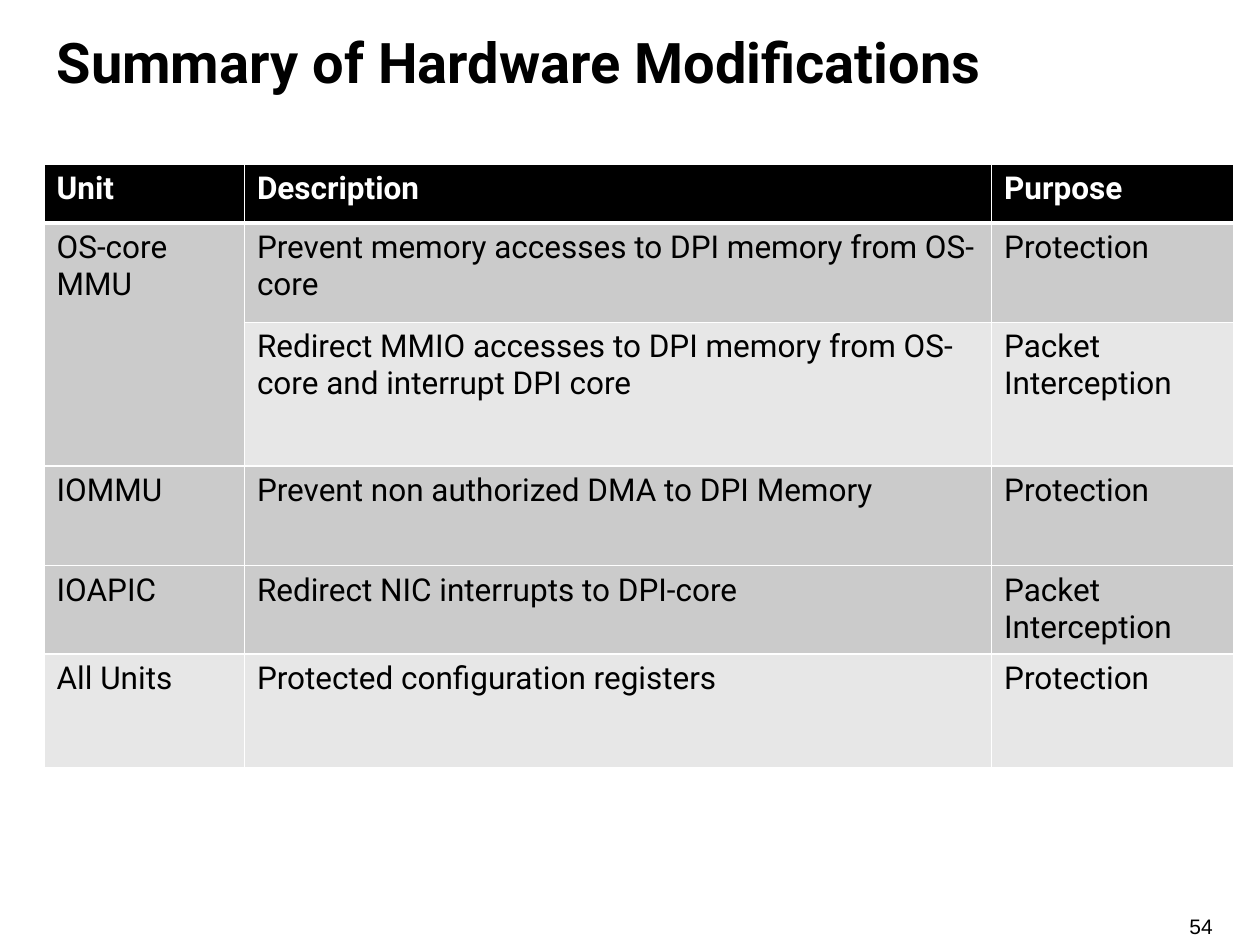
from lxml import etree
from pptx import Presentation
from pptx.dml.color import RGBColor
from pptx.enum.text import MSO_ANCHOR, PP_ALIGN
from pptx.oxml.ns import qn
from pptx.util import Inches, Pt

LEFT = PP_ALIGN.LEFT
MIDDLE = MSO_ANCHOR.MIDDLE
BLACK = RGBColor(0x00, 0x00, 0x00)
WHITE = RGBColor(0xFF, 0xFF, 0xFF)
DARK_BAND = RGBColor(0xCB, 0xCB, 0xCB)
LIGHT_BAND = RGBColor(0xE7, 0xE7, 0xE7)

TITLE_ONLY_LAYOUT = 5
COLUMN_WIDTHS = (1.59, 5.93, 1.92)
ROWS = (
    (0.47, BLACK, ("Unit", "Description", "Purpose")),
    (0.79, DARK_BAND, ("OS-core MMU",
                       "Prevent memory accesses to DPI memory from OS-core",
                       "Protection")),
    (1.14, LIGHT_BAND, ("",
                        "Redirect MMIO accesses to DPI memory from OS-core and interrupt DPI core",
                        "Packet Interception")),
    (0.79, DARK_BAND, ("IOMMU", "Prevent non authorized DMA to DPI Memory", "Protection")),
    (0.66, DARK_BAND, ("IOAPIC", "Redirect NIC interrupts to DPI-core", "Packet Interception")),
    (0.9, LIGHT_BAND, ("All Units", "Protected configuration registers", "Protection")),
)


def add_run(paragraph, text, font_name, size, color, bold=False):
    paragraph.alignment = LEFT
    run = paragraph.add_run()
    run.text = text
    run.font.name = font_name
    run.font.size = Pt(size)
    run.font.bold = bold
    run.font.color.rgb = color


def set_borders(cell, widths):
    properties = cell._tc.get_or_add_tcPr()
    for side, width in zip("LRTB", widths):
        line = etree.SubElement(properties, qn(f"a:ln{side}"), w=str(Pt(width)))
        fill = etree.SubElement(line, qn("a:solidFill"))
        etree.SubElement(fill, qn("a:srgbClr"), val=str(WHITE))


def add_title(slide, box):
    title = slide.shapes.title
    title.left, title.top, title.width, title.height = map(Inches, box)
    title.text_frame.vertical_anchor = MIDDLE
    add_run(title.text_frame.paragraphs[0], "Summary of Hardware Modifications",
            "Roboto", 32, BLACK, True)


def add_modifications_table(slide, left, top):
    height = sum(row[0] for row in ROWS)
    table = slide.shapes.add_table(
        len(ROWS), len(COLUMN_WIDTHS), Inches(left), Inches(top),
        Inches(sum(COLUMN_WIDTHS)), Inches(height)).table
    for column, width in zip(table.columns, COLUMN_WIDTHS):
        column.width = Inches(width)
    for row_index, (row_height, fill, texts) in enumerate(ROWS):
        header = row_index == 0
        table.rows[row_index].height = Inches(row_height)
        widths = (1, 1, 3 if row_index == 1 else 1, 3 if header else 1)
        for column_index, text in enumerate(texts):
            cell = table.cell(row_index, column_index)
            set_borders(cell, widths)
            cell.fill.solid()
            cell.fill.fore_color.rgb = fill
            if text:
                add_run(cell.text_frame.paragraphs[0], text, "Roboto", 18,
                        WHITE if header else BLACK, header)
    table.cell(1, 0).merge(table.cell(2, 0))


def add_page_number(slide, box):
    frame = slide.shapes.add_textbox(*map(Inches, box)).text_frame
    frame.word_wrap = True
    frame.margin_left = frame.margin_right = frame.margin_top = frame.margin_bottom = 0
    add_run(frame.paragraphs[0], "54", "Arial", 12, BLACK)


def main():
    presentation = Presentation()
    presentation.slide_width = Inches(10)
    presentation.slide_height = Inches(7.5)
    slide = presentation.slides.add_slide(presentation.slide_layouts[TITLE_ONLY_LAYOUT])
    slide.background.fill.solid()
    slide.background.fill.fore_color.rgb = WHITE
    add_page_number(slide, (9.44, 7.25, 0.51, 0.2))
    add_title(slide, (0.35, 0.07, 9.31, 0.83))
    add_modifications_table(slide, 0.35, 1.3)
    presentation.save("out.pptx")


if __name__ == "__main__":
    main()
